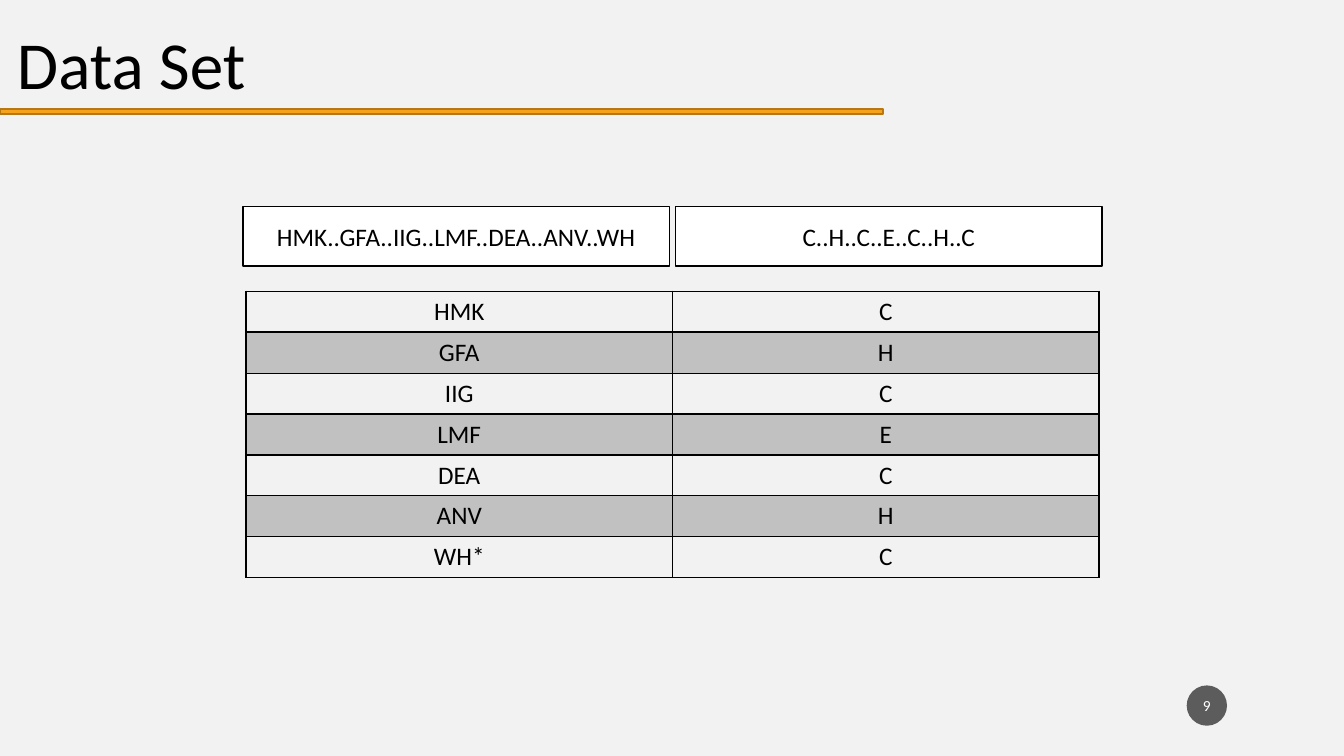
from lxml import etree
from pptx import Presentation
from pptx.dml.color import RGBColor
from pptx.enum.shapes import MSO_SHAPE
from pptx.enum.text import MSO_ANCHOR, PP_ALIGN
from pptx.oxml.ns import qn
from pptx.util import Inches, Pt

RECT, OVAL = MSO_SHAPE.RECTANGLE, MSO_SHAPE.OVAL
LEFT, CENTER = PP_ALIGN.LEFT, PP_ALIGN.CENTER
MIDDLE = MSO_ANCHOR.MIDDLE

COLORS = {
    "background": "F2F2F2",
    "black": "000000",
    "white": "FFFFFF",
    "badge": "1D1D1D",
    "accent": "F6A21D",
    "accent_edge": "B67815",
}
FONT = "Calibri"


def rgb(name):
    return RGBColor.from_string(COLORS[name])


def write_text(frame, text, size=18, color="black", align=CENTER):
    paragraph = frame.paragraphs[0]
    paragraph.alignment = align
    run = paragraph.add_run()
    run.text = text
    run.font.name = FONT
    run.font.size = Pt(size)
    run.font.color.rgb = rgb(color)


def paint(fill, element, color, opacity=100):
    """Give a solid fill; element is the XML that holds it."""
    fill.solid()
    fill.fore_color.rgb = rgb(color)
    if opacity < 100:
        color_node = next(element.iter(qn("a:srgbClr")))
        etree.SubElement(color_node, qn("a:alpha")).set("val", str(opacity * 1000))


class SlideBuilder:
    def __init__(self, slide):
        self.slide = slide
        background = slide.background.fill
        background.solid()
        background.fore_color.rgb = rgb("background")

    def shape(self, kind, left, top, width, height, fill, opacity=100, edge=None):
        shape = self.slide.shapes.add_shape(
            kind, Inches(left), Inches(top), Inches(width), Inches(height))
        shape.shadow.inherit = False
        paint(shape.fill, shape._element.spPr, fill, opacity)
        if edge:
            shape.line.color.rgb = rgb(edge)
            shape.line.width = Pt(1)
        else:
            shape.line.fill.background()
        shape.text_frame.vertical_anchor = MIDDLE
        return shape

    def title(self, text, left, top, width, height):
        box = self.slide.shapes.add_textbox(
            Inches(left), Inches(top), Inches(width), Inches(height))
        box.text_frame.word_wrap = False
        write_text(box.text_frame, text, size=48, align=LEFT)

    def borders(self, cell, widths):
        properties = cell._tc.get_or_add_tcPr()
        for index, (side, width) in enumerate(widths.items()):
            line = etree.Element(qn(f"a:ln{side}"), w=str(Pt(width)))
            solid = etree.SubElement(line, qn("a:solidFill"))
            etree.SubElement(solid, qn("a:srgbClr"), val=COLORS["black"])
            properties.insert(index, line)

    def table(self, rows, left, top, column_width, row_height):
        columns = len(rows[0])
        table = self.slide.shapes.add_table(
            len(rows), columns, Inches(left), Inches(top),
            Inches(column_width * columns), Inches(row_height * len(rows))).table
        table.first_row = False
        table.horz_banding = False
        for column in table.columns:
            column.width = Inches(column_width)
        for row_index, row in enumerate(rows):
            table.rows[row_index].height = Inches(row_height)
            for column_index, text in enumerate(row):
                cell = table.cell(row_index, column_index)
                write_text(cell.text_frame, text)
                if row_index % 2:
                    paint(cell.fill, cell._tc, "black", opacity=20)
                    # The text colour comes first in the cell, so move the alpha
                    alpha = next(cell._tc.iter(qn("a:alpha")))
                    next(cell._tc.tcPr.iter(qn("a:srgbClr"))).append(alpha)
                else:
                    cell.fill.background()
                # A heavier rule sits under the first row
                self.borders(cell, {
                    "L": 1, "R": 1,
                    "T": 2 if row_index == 1 else 1,
                    "B": 2 if row_index == 0 else 1,
                })


def main():
    deck = Presentation()
    deck.slide_width, deck.slide_height = Inches(13.33), Inches(7.5)
    builder = SlideBuilder(deck.slides.add_slide(deck.slide_layouts[6]))

    # Page number badge
    badge = builder.shape(OVAL, 11.77, 6.8, 0.4, 0.4, "badge", opacity=70)
    badge.text_frame.margin_left = badge.text_frame.margin_right = Inches(0.02)
    write_text(badge.text_frame, "9", size=11, color="white")

    # Title and its rule
    builder.shape(RECT, 0, 1.08, 8.76, 0.05, "accent", edge="accent_edge")
    builder.title("Data Set", 0.07, 0.17, 2.55, 0.91)

    # Sequence fragments and their structure classes
    fragments = ["HMK", "GFA", "IIG", "LMF", "DEA", "ANV", "WH*"]
    builder.table(list(zip(fragments, "CHCECHC")), 2.44, 2.89, 4.23, 0.406)

    # Full sequence and full structure
    sequences = ["HMK..GFA..IIG..LMF..DEA..ANV..WH", "C..H..C..E..C..H..C"]
    for index, sequence in enumerate(sequences):
        box = builder.shape(RECT, 2.41 + 4.29 * index, 2.05, 4.23, 0.59,
                            "white", edge="black")
        write_text(box.text_frame, sequence)

    deck.save("out.pptx")


if __name__ == "__main__":
    main()
